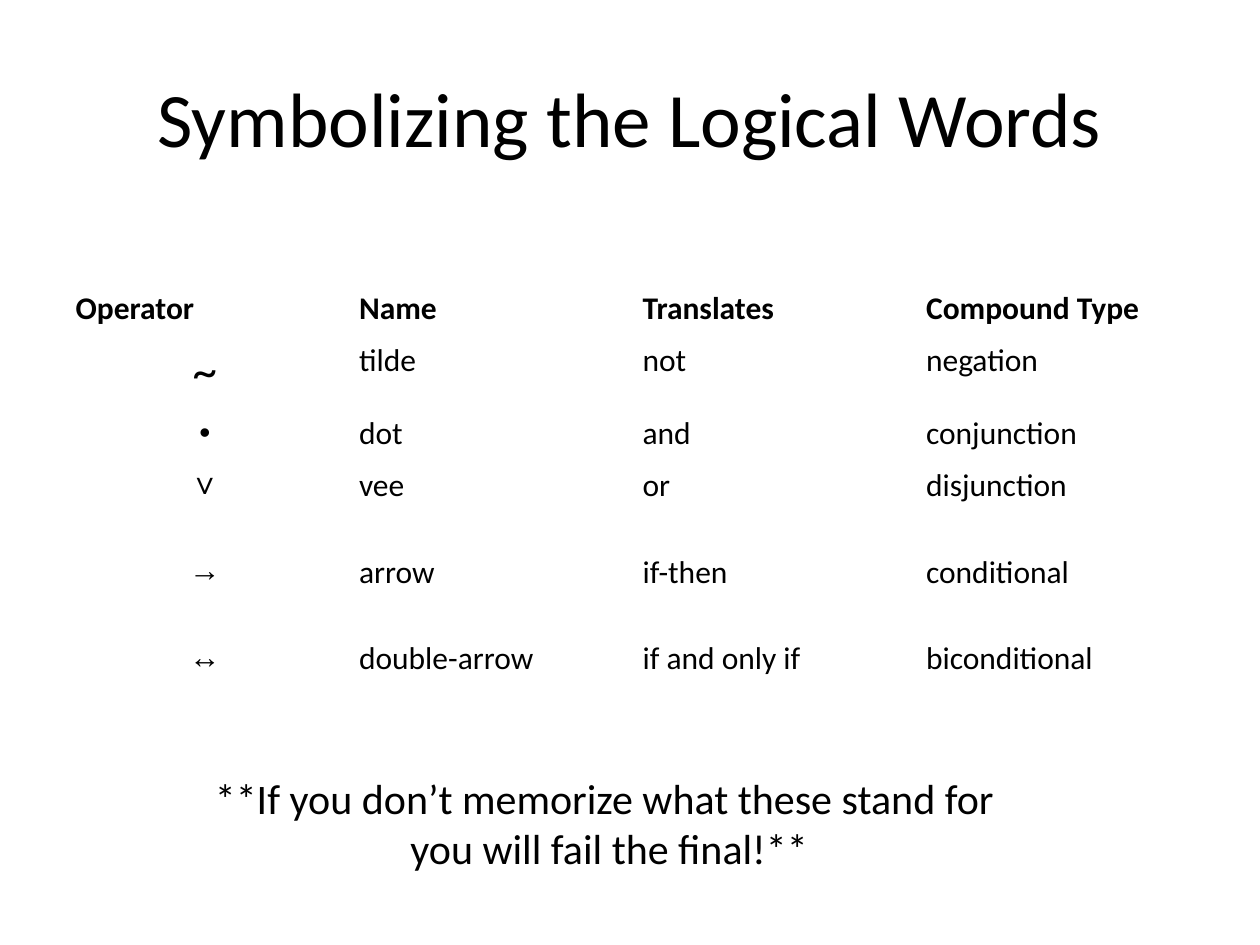
from dataclasses import dataclass

from lxml.etree import SubElement
from pptx import Presentation
from pptx.dml.color import RGBColor
from pptx.enum.text import MSO_ANCHOR, MSO_AUTO_SIZE, PP_ALIGN
from pptx.oxml.ns import qn
from pptx.util import Inches, Pt


@dataclass(frozen=True)
class Theme:
    ink: RGBColor = RGBColor(0, 0, 0)
    paper: RGBColor = RGBColor(255, 255, 255)
    face: str = "Calibri"
    sign_face: str = "Arial"
    title: int = 44
    note: int = 24
    body: int = 18
    tilde: int = 28
    thin: float = 0.45
    thick: float = 1.47


THEME = Theme()

HEADS = ("Operator", "Name", "Translates", "Compound Type")
ROWS = (
    ("~", "tilde", "not", "negation"),
    ("•", "dot", "and", "conjunction"),
    ("∨", "vee", "or", "disjunction"),
    ("→", "arrow", "if-then", "conditional"),
    ("↔", "double-arrow", "if and only if", "biconditional"),
)
HEIGHTS = (0.41, 0.58, 0.41, 0.69, 0.69, 0.69)
COL_WIDTH = 2.25


def style(para, size, face=THEME.face, bold=False, align=PP_ALIGN.LEFT):
    para.alignment = align
    font = para.font
    font.name, font.size, font.bold = face, Pt(size), bold
    font.color.rgb = THEME.ink


def place(shape, left, top, width, height):
    shape.left, shape.top = Inches(left), Inches(top)
    shape.width, shape.height = Inches(width), Inches(height)


def add_title(slide, text):
    title = slide.shapes.title
    place(title, 0.5, 0.3, 9, 1.25)
    frame = title.text_frame
    frame.text = text
    frame.vertical_anchor = MSO_ANCHOR.MIDDLE
    style(frame.paragraphs[0], THEME.title, align=PP_ALIGN.CENTER)


def add_edges(cell, row):
    """Draw the cell borders, thicker between the header and the first row."""
    props = cell._tc.get_or_add_tcPr()
    heavy = {"T": row == 1, "B": row == 0}
    for place_no, side in enumerate("LRTB"):
        width = THEME.thick if heavy.get(side) else THEME.thin
        line = SubElement(props, qn(f"a:ln{side}"), w=str(int(Pt(width))))
        fill = SubElement(line, qn("a:solidFill"))
        SubElement(fill, qn("a:srgbClr"), val=str(THEME.paper))
        props.insert(place_no, line)


def fill_cell(cell, text, row, col):
    cell.text = text
    cell.fill.solid()
    cell.fill.fore_color.rgb = THEME.paper
    add_edges(cell, row)
    is_sign = row > 0 and col == 0
    style(
        cell.text_frame.paragraphs[0],
        THEME.tilde if text == "~" else THEME.body,
        THEME.sign_face if is_sign and text != "~" else THEME.face,
        bold=row == 0,
        align=PP_ALIGN.CENTER if is_sign else PP_ALIGN.LEFT,
    )


def add_grid(slide, left, top):
    lines = (HEADS, *ROWS)
    table = slide.shapes.add_table(
        len(lines), len(HEADS), Inches(left), Inches(top),
        Inches(COL_WIDTH * len(HEADS)), Inches(sum(HEIGHTS)),
    ).table
    for column in table.columns:
        column.width = Inches(COL_WIDTH)
    for row, (line, height) in enumerate(zip(lines, HEIGHTS)):
        table.rows[row].height = Inches(height)
        for col, text in enumerate(line):
            fill_cell(table.cell(row, col), text, row, col)


def add_note(slide, text):
    box = slide.shapes.add_textbox(
        Inches(0.75), Inches(6.08), Inches(8.17), Inches(0.9))
    frame = box.text_frame
    frame.word_wrap = True
    frame.auto_size = MSO_AUTO_SIZE.SHAPE_TO_FIT_TEXT
    frame.text = text
    for para in frame.paragraphs:
        style(para, THEME.note, align=PP_ALIGN.CENTER)


def main():
    deck = Presentation()
    deck.slide_width, deck.slide_height = Inches(10), Inches(7.5)
    slide = deck.slides.add_slide(deck.slide_layouts[5])
    add_title(slide, "Symbolizing the Logical Words")
    add_grid(slide, 0.5, 2.25)
    add_note(slide, "**If you don’t memorize what these stand for \n"
                    "you will fail the final!**")
    deck.save("out.pptx")


if __name__ == "__main__":
    main()
